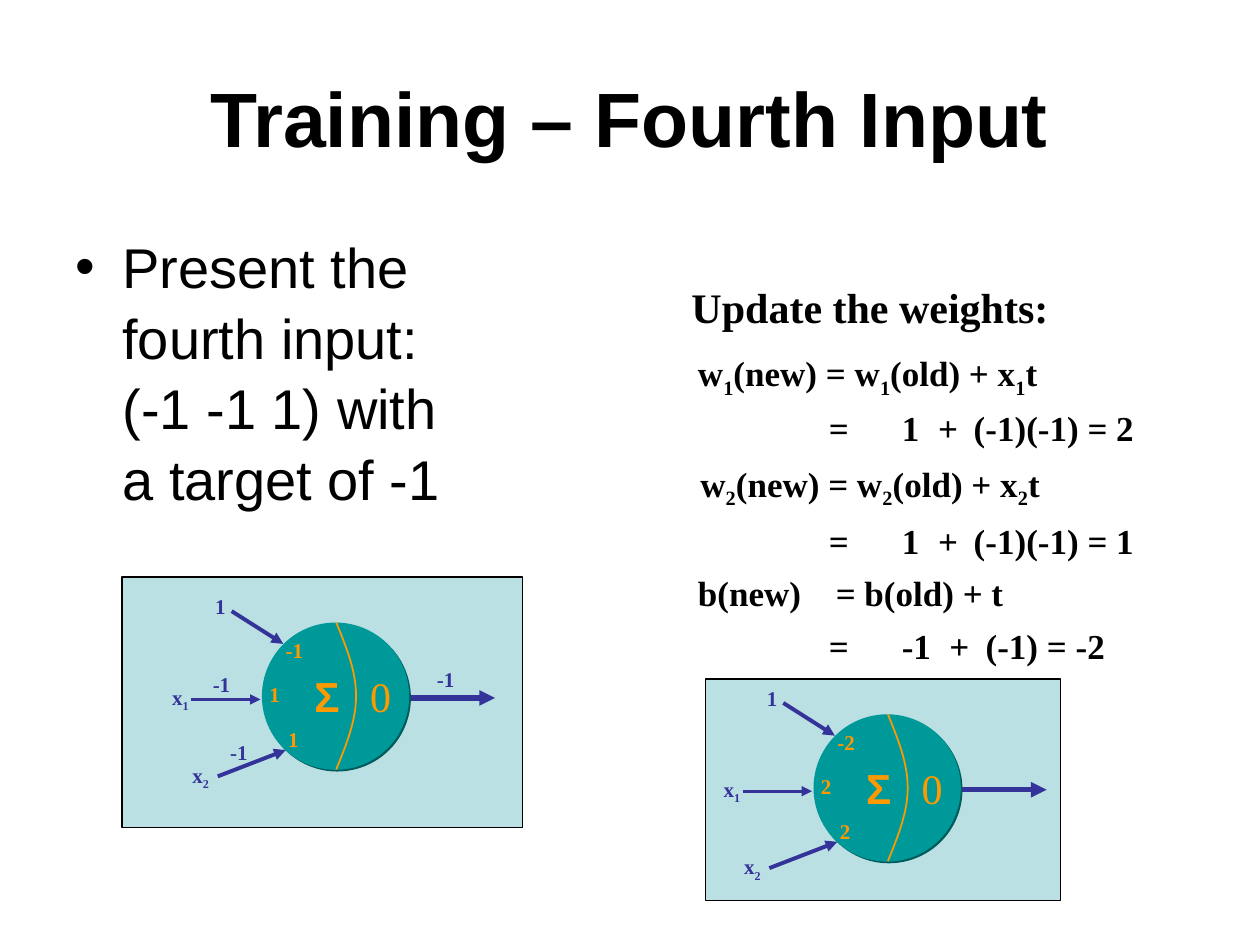
from lxml import etree
from pptx import Presentation
from pptx.dml.color import RGBColor
from pptx.enum.shapes import MSO_CONNECTOR, MSO_SHAPE
from pptx.enum.text import MSO_ANCHOR, PP_ALIGN
from pptx.oxml.ns import qn
from pptx.util import Cm, Pt

STRAIGHT = MSO_CONNECTOR.STRAIGHT
RECT, OVAL = MSO_SHAPE.RECTANGLE, MSO_SHAPE.OVAL
MIDDLE, CENTER = MSO_ANCHOR.MIDDLE, PP_ALIGN.CENTER

BLACK = RGBColor(0x00, 0x00, 0x00)
PALE = RGBColor(0xBB, 0xE0, 0xE3)
TEAL = RGBColor(0x00, 0x99, 0x99)
ORANGE = RGBColor(0xFF, 0x99, 0x00)
INDIGO = RGBColor(0x33, 0x33, 0x99)
SHADE = RGBColor(0x00, 0x5B, 0x5B)
SANS, SERIF = "Arial", "Times New Roman"


def style(r, size, color, font, bold):
    r.font.size, r.font.name, r.font.bold = Pt(size), font, bold
    r.font.color.rgb = color


def add_tabs(p, stops):
    tab_list = etree.SubElement(p._p.get_or_add_pPr(), qn("a:tabLst"))
    for stop in stops:
        etree.SubElement(tab_list, qn("a:tab"), pos=str(Cm(stop)), algn="l")


def add_label(shapes, text, x, y, w, h, size=12, color=INDIGO, font=SERIF,
              bold=True, tabs=()):
    """Text box in which an underscore lowers the next character."""
    box = shapes.add_textbox(Cm(x), Cm(y), Cm(w), Cm(h))
    tf = box.text_frame
    tf.word_wrap = bool(tabs)
    p = tf.paragraphs[0]
    if tabs:
        add_tabs(p, tabs)
    first, *rest = text.split("_")
    pieces = [(first, False)]
    for part in rest:
        pieces += [(part[0], True), (part[1:], False)]
    for piece, lowered in pieces:
        if piece:
            r = p.add_run()
            r.text = piece
            style(r, size, color, font, bold)
            if lowered:
                r.font._element.set("baseline", "-25000")


def add_arrow(shapes, x1, y1, x2, y2, width):
    s = shapes.add_connector(STRAIGHT, Cm(x1), Cm(y1), Cm(x2), Cm(y2))
    s.line.color.rgb = INDIGO
    s.line.width = Pt(width)
    etree.SubElement(s.line._get_or_add_ln(), qn("a:tailEnd"), type="triangle")
    etree.SubElement(s._element.spPr, qn("a:effectLst"))


def add_panel(shapes, x, y, w, h):
    s = shapes.add_shape(RECT, Cm(x), Cm(y), Cm(w), Cm(h))
    s.shadow.inherit = False
    s.fill.solid()
    s.fill.fore_color.rgb = PALE
    s.line.color.rgb = BLACK
    s.line.width = Pt(0.75)


def add_cell_body(shapes, x, y):
    s = shapes.add_shape(OVAL, Cm(x), Cm(y), Cm(2.97), Cm(2.97))
    s.fill.solid()
    s.fill.fore_color.rgb = TEAL
    s.line.fill.background()
    effects = etree.SubElement(s._element.spPr, qn("a:effectLst"))
    shadow = etree.SubElement(effects, qn("a:outerShdw"), dist=str(Pt(1.4)),
                              dir="2700000", algn="ctr", rotWithShape="0")
    etree.SubElement(shadow, qn("a:srgbClr"), val=str(SHADE))


def add_divider(shapes, x, y):
    """Curve between the sum and the output, mirrored about its middle."""
    controls = [(1.5, 0), (1.7, 0.49), (1.9, 0.98), (1.9, 1.48)]
    upper = []
    for i in range(13):
        t = i / 12
        weights = ((1 - t) ** 3, 3 * t * (1 - t) ** 2, 3 * t * t * (1 - t), t ** 3)
        upper.append([sum(k * c[axis] for k, c in zip(weights, controls))
                      for axis in (0, 1)])
    lower = [(px, 2.96 - py) for px, py in reversed(upper[:-1])]
    points = [(Cm(x + px), Cm(y + py)) for px, py in [*upper, *lower]]
    pen = shapes.build_freeform(*points[0])
    pen.add_line_segments(points[1:], close=False)
    s = pen.convert_to_shape()
    s.shadow.inherit = False
    s.fill.background()
    s.line.color.rgb = ORANGE
    s.line.width = Pt(1)


def add_neuron(slide, x, y, bias, w1, w2, signals=()):
    """Neuron whose circle has its top left corner at x, y."""
    shapes = slide.shapes.add_group_shape().shapes
    add_cell_body(shapes, x, y)
    add_divider(shapes, x, y)
    add_label(shapes, "0", x + 1.93, y + 0.84, 0.91, 1.27, 24, ORANGE, bold=False)
    add_label(shapes, "Σ", x + 0.81, y + 0.84, 0.99, 1.27, 24, ORANGE, SANS)

    # Output, bias, second and first input
    for x1, y1, x2, y2, width in ((3, 1.52, 4.7, 1.52, 3),
                                  (-0.61, -0.23, 0.43, 0.43, 2.25),
                                  (-0.89, 3.1, 0.48, 2.57, 2.25),
                                  (-1.42, 1.55, -0.03, 1.55, 1.5)):
        add_arrow(shapes, x + x1, y + y1, x + x2, y + y2, width)

    # Weights in the circle, names of the inputs outside it
    for text, dx, dy, w, color in ((w1, -0.1, 1.07, 0.71, ORANGE),
                                   (w2, 0.28, 1.98, 0.71, ORANGE),
                                   (bias, 0.23, 0.18, 0.86, ORANGE),
                                   ("x_1", -2.06, 1.12, 0.84, INDIGO),
                                   ("x_2", -1.65, 2.69, 0.84, INDIGO),
                                   ("1", -1.19, -0.71, 0.71, INDIGO)):
        add_label(shapes, text, x + dx, y + dy, w, 0.77, color=color)

    # Signals on the output and the two inputs
    places = ((3.28, 0.76), (-0.89, 2.24), (-1.24, 0.86))
    for text, (dx, dy) in zip(signals, places):
        add_label(shapes, text, x + dx, y + dy, 0.86, 0.77)


def add_title(slide, text):
    s = slide.shapes.title
    s.left, s.top, s.width, s.height = Cm(1.27), Cm(0.76), Cm(22.86), Cm(3.18)
    tf = s.text_frame
    tf.text = text
    tf.vertical_anchor = MIDDLE
    p = tf.paragraphs[0]
    p.alignment = CENTER
    style(p.runs[0], 44, BLACK, SANS, True)


def add_bullet(slide, text):
    box = slide.shapes.add_textbox(Cm(1.27), Cm(4.5), Cm(8.61), Cm(9))
    tf = box.text_frame
    tf.word_wrap = True
    p = tf.paragraphs[0]
    p.text = text
    p.line_spacing = 1.05
    pPr = p._p.get_or_add_pPr()
    pPr.set("marL", str(Cm(0.95)))
    pPr.set("indent", str(Cm(-0.95)))
    etree.SubElement(pPr, qn("a:buFont"), typeface=SANS)
    etree.SubElement(pPr, qn("a:buChar"), char="•")
    for r in p.runs:
        style(r, 32, BLACK, SANS, False)


def add_equations(slide):
    add_label(slide.shapes, "Update the weights:", 13.69, 5.56, 7.7, 1.27, 24, BLACK)
    steps = (2.64, 4.11, 4.84, 5.56)
    wide_steps = (2.64, 4.11, 5.07, 5.8)
    for text, x, y, tabs in (
            ("w_1(new) = w_1(old) + x_1t", 13.82, 6.96, steps),
            ("\t=\t1\t+\t(-1)(-1) = 2", 13.82, 8.08, steps),
            ("w_2(new) = w_2(old) + x_2t", 13.87, 9.19, steps),
            ("\t=\t1\t+\t(-1)(-1) = 1", 13.82, 10.34, steps),
            ("b(new)\t= b(old) + t", 13.82, 11.4, (2.78,)),
            ("\t=\t-1\t+\t(-1) = -2", 13.82, 12.47, wide_steps)):
        add_label(slide.shapes, text, x, y, 9.6, 1.12, 20, BLACK, tabs=tabs)


def main():
    prs = Presentation()
    prs.slide_width, prs.slide_height = Cm(25.4), Cm(19.05)
    slide = prs.slides.add_slide(prs.slide_layouts[5])
    add_panel(slide.shapes, 14.22, 13.69, 7.16, 4.47)
    add_panel(slide.shapes, 2.46, 11.63, 8.08, 5.05)
    add_title(slide, "Training – Fourth Input")
    add_bullet(slide, "Present the fourth input:\v(-1 -1 1) with a target of -1")
    add_neuron(slide, 5.28, 12.55, "-1", "1", "1", ("-1", "-1", "-1"))
    add_neuron(slide, 16.4, 14.4, "-2", "2", "2")
    add_equations(slide)
    prs.save("out.pptx")


if __name__ == "__main__":
    main()
